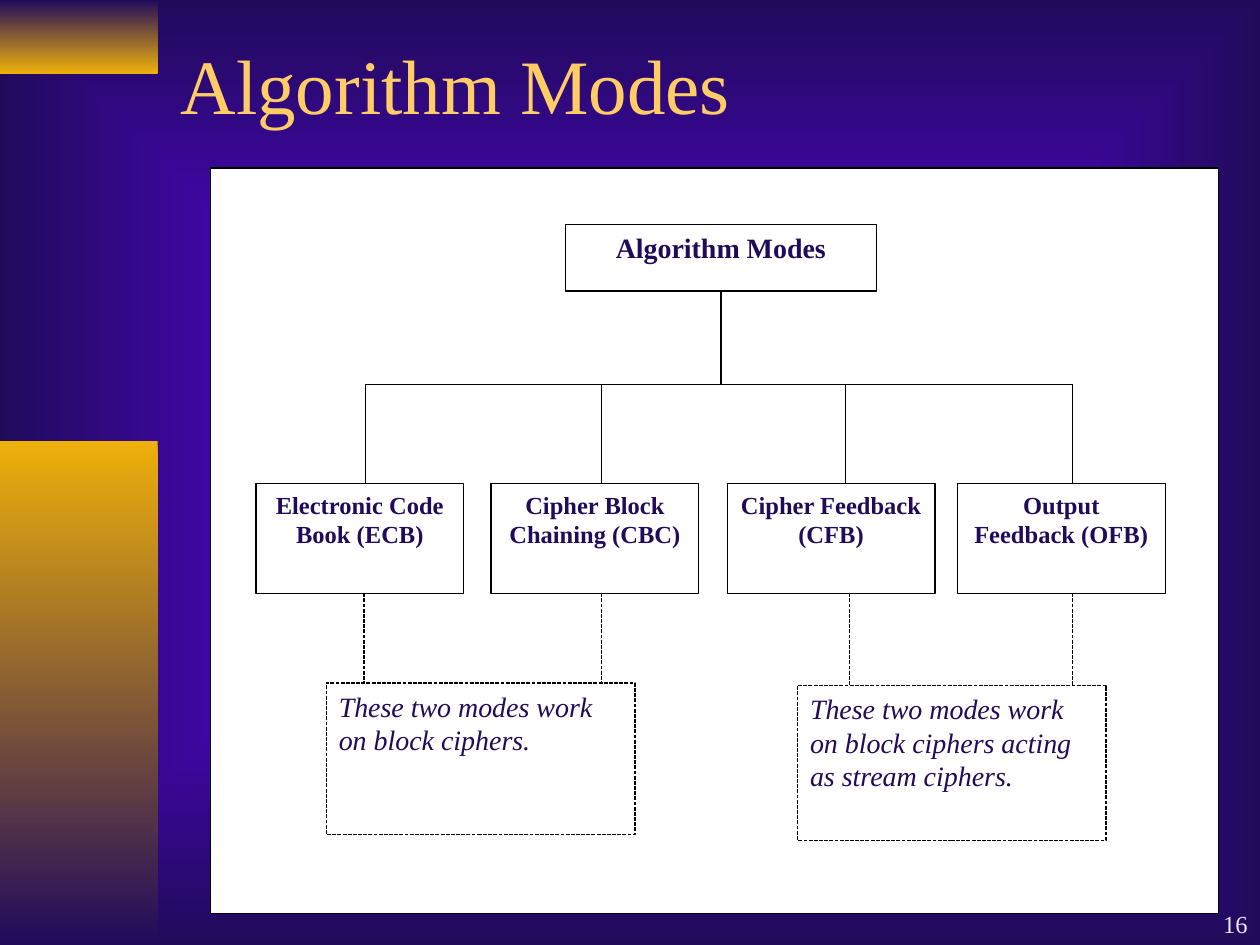
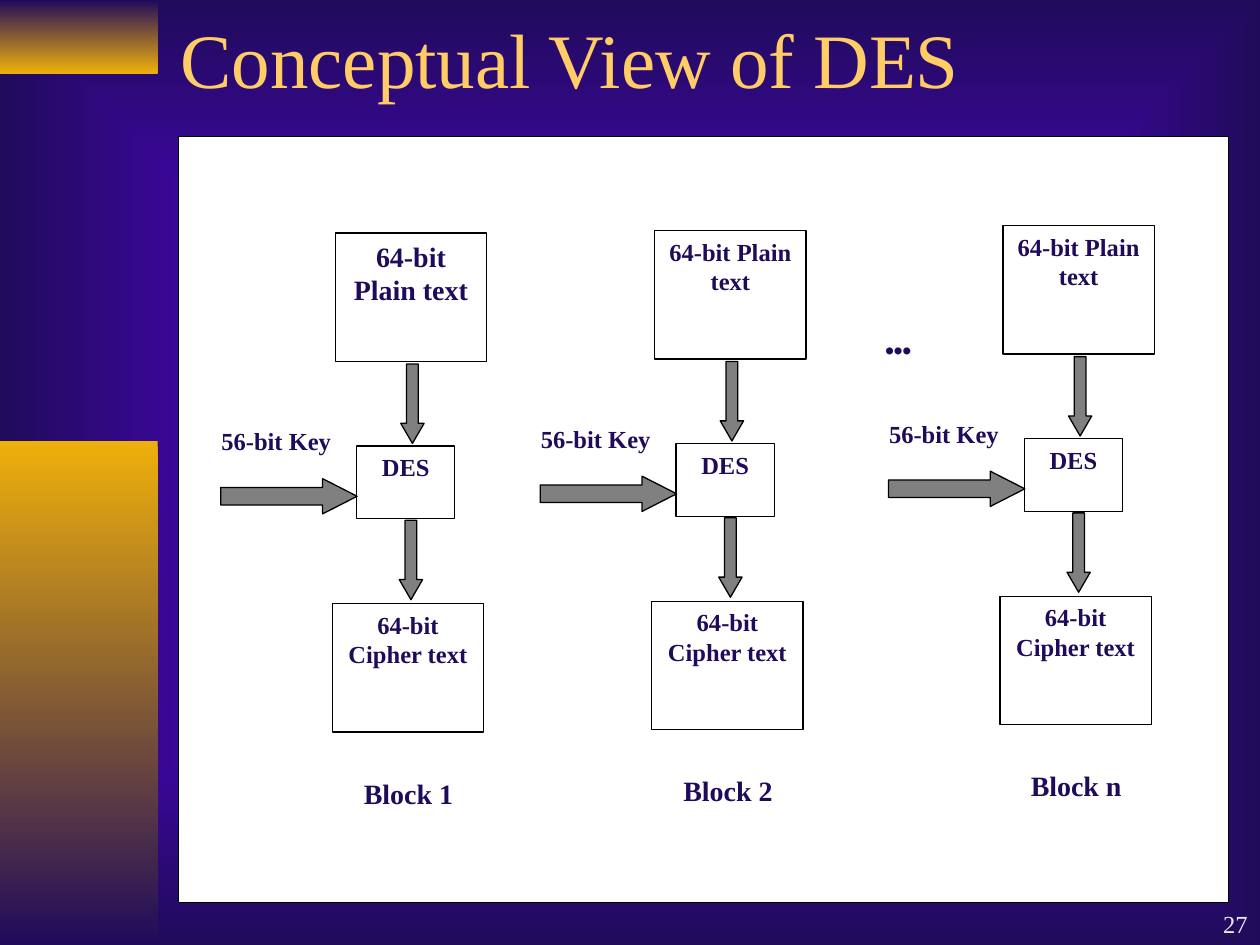
from lxml import etree
from pptx import Presentation
from pptx.dml.color import RGBColor as Rgb
from pptx.enum.dml import MSO_LINE as Dash
from pptx.enum.shapes import MSO_CONNECTOR as Link, MSO_SHAPE as Form
from pptx.enum.text import MSO_ANCHOR as Anchor, PP_ALIGN as Align
from pptx.oxml.ns import qn
from pptx.util import Cm, Pt

# Content: places and sizes in cm
HUES = {"glow": "6600FF", "night": "200B5B", "gold": "EEB00B",
        "title": "FFCC66", "page": "EAEAEA", "paper": "FFFFFF",
        "ink": "000000", "arrow": "808080"}
SERIF = "Times New Roman"
BANDS = [((0, 0, 3.18, 1.48), ("night", "gold")),
         ((0, 8.89, 3.18, 10.16), ("gold", "night"))]
PAGE = (20.12, 17.78, 5.28, 1.27)

TREE = {"title": "Algorithm Modes", "page": "16",
        "head": (3.39, 0.85, 21.59, 1.69),
        "panel": (4.24, 3.39, 20.32, 15.03)}
ROOT = ("Algorithm Modes", (11.4, 4.52, 6.27, 1.35))
BUS = 7.75
MODE_TOP, MODE_W, MODE_H = 9.75, 4.19, 2.21
# Text, left edge, x of the line above, x of the line below
MODES = [("Electronic Code Book (ECB)", 5.16, 7.37, 7.34),
         ("Cipher Block Chaining (CBC)", 9.9, 12.12, 12.12),
         ("Cipher Feedback (CFB)", 14.66, 17.04, 17.12),
         ("Output Feedback (OFB)", 19.3, 21.62, 21.62)]
NOTES = [("These two modes work on block ciphers.",
          (6.58, 13.77, 6.22, 3.05)),
         ("These two modes work on block ciphers acting as stream ciphers.",
          (16.08, 13.82, 6.22, 3.12))]

VIEW = {"title": "Conceptual View of DES", "page": "27",
        "head": (3.39, 0, 21.59, 2.33),
        "panel": (3.6, 2.75, 21.17, 15.45)}
# Label, corner of the plain text box, size of its text
LANES = [("Block 1", 6.76, 4.7, 16),
         ("Block 2", 13.2, 4.65, 14),
         ("Block n", 20.22, 4.55, 14)]
# Parts of a lane, measured from the corner of its plain text box
PLAIN = ("64-bit Plain text", (0, 0, 3.05, 2.59))
KEY = ("56-bit Key", (-2.74, 3.77, 3.1, 1.47))
STEPS = [("DES", (0.43, 4.29, 1.98, 1.47)),
         ("64-bit Cipher text", (-0.06, 7.47, 3.05, 2.59))]
ARROWS = [(Form.DOWN_ARROW, (1.32, 2.64, 0.47, 1.6), 0.86),
          (Form.DOWN_ARROW, (1.29, 5.79, 0.47, 1.6), 0.86),
          (Form.RIGHT_ARROW, (-2.31, 4.95, 2.75, 0.71), 0.98)]
LABEL = (-0.06, 10.82, 3.07, 1.65)
DOTS = ("•••", (16.79, 6.63, 2.64, 1.5))

# Text formats
BOLD = {"name": SERIF, "size": Pt(14), "bold": True}
LARGE = {**BOLD, "size": Pt(16)}
NOTE = {"name": SERIF, "size": Pt(16), "italic": True}
HEAD = {"name": SERIF, "size": Pt(44)}
FOOT = {"name": SERIF, "size": Pt(14)}


def hue(name):
    return Rgb.from_string(HUES[name])


def cms(rect):
    return [Cm(n) for n in rect]


def shift(rect, x, y):
    left, top, wide, high = rect
    return left + x, top + y, wide, high


# Drawing tools
def blend(fill, names):
    fill.gradient()
    for stop, name in zip(fill.gradient_stops, names):
        stop.color.rgb = hue(name)


def write(shape, text, font, color="night", align=Align.CENTER,
          anchor=Anchor.TOP):
    frame = shape.text_frame
    frame.word_wrap = True
    frame.vertical_anchor = anchor
    para = frame.paragraphs[0]
    para.alignment = align
    run = para.add_run()
    run.text = text
    for key, value in font.items():
        setattr(run.font, key, value)
    run.font.color.rgb = hue(color)


def trace(line, dash=None):
    line.color.rgb = hue("ink")
    line.width = Pt(0.75)
    if dash:
        line.dash_style = dash


def draw(slide, rect, form=Form.RECTANGLE, fill="paper", edge=True, dash=None):
    shape = slide.shapes.add_shape(form, *cms(rect))
    shape.shadow.inherit = False
    shape.fill.solid()
    shape.fill.fore_color.rgb = hue(fill)
    if edge:
        trace(shape.line, dash)
    else:
        shape.line.fill.background()
    return shape


def box(slide, text, rect, font=BOLD, align=Align.CENTER, **look):
    shape = draw(slide, rect, **look)
    write(shape, text, font, align=align)
    return shape


def wire(slide, x1, y1, x2, y2, dash=None):
    line = slide.shapes.add_connector(Link.STRAIGHT, *cms((x1, y1, x2, y2)))
    etree.SubElement(line.element.spPr, qn("a:effectLst"))
    trace(line.line, dash)
    return line


# Shared parts
def set_back(master):
    blend(master.background.fill, ("glow", "night"))
    old = next(master.element.iter(qn("a:lin")))
    ray = etree.Element(qn("a:path"), {"path": "rect"})
    etree.SubElement(ray, qn("a:fillToRect"), dict.fromkeys("ltrb", "50000"))
    old.getparent().replace(old, ray)


def start(deck, plan):
    slide = deck.slides.add_slide(deck.slide_layouts[6])
    for rect, names in BANDS:
        band = draw(slide, rect, edge=False)
        blend(band.fill, names)
        band.fill.gradient_angle = 270
    head = slide.shapes.add_textbox(*cms(plan["head"]))
    write(head, plan["title"], HEAD, "title", Align.LEFT, Anchor.MIDDLE)
    draw(slide, plan["panel"])
    foot = slide.shapes.add_textbox(*cms(PAGE))
    write(foot, plan["page"], FOOT, "page", Align.RIGHT, Anchor.BOTTOM)
    return slide


# Slide with the tree of modes
def add_tree(deck):
    slide = start(deck, TREE)
    text, rect = ROOT
    left, top, wide, high = rect
    root = box(slide, text, rect, LARGE)
    mid = left + wide / 2
    trunk = wire(slide, mid, top + high, mid, BUS)
    trunk.begin_connect(root, 2)
    wire(slide, MODES[0][2], BUS, MODES[-1][2], BUS)
    for i, (text, left, drop, tie) in enumerate(MODES):
        box(slide, text, (left, MODE_TOP, MODE_W, MODE_H))
        wire(slide, drop, BUS, drop, MODE_TOP)
        note_top = NOTES[i // 2][1][1]
        wire(slide, tie, MODE_TOP + MODE_H, tie, note_top, Dash.SQUARE_DOT)
    for text, rect in NOTES:
        box(slide, text, rect, NOTE, Align.LEFT, dash=Dash.SQUARE_DOT)


# Slide with one lane for each block
def add_view(deck):
    slide = start(deck, VIEW)
    for label, x, y, size in LANES:
        text, rect = PLAIN
        box(slide, text, shift(rect, x, y), {**BOLD, "size": Pt(size)})
        text, rect = KEY
        box(slide, text, shift(rect, x, y), edge=False)
        for text, rect in STEPS:
            box(slide, text, shift(rect, x, y))
        for form, rect, tip in ARROWS:
            arrow = draw(slide, shift(rect, x, y), form, "arrow")
            arrow.adjustments[1] = tip
        box(slide, label, shift(LABEL, x, y), LARGE, edge=False)
    text, rect = DOTS
    box(slide, text, rect, {**BOLD, "name": "Arial"}, edge=False)


def main():
    deck = Presentation()
    deck.slide_width, deck.slide_height = Cm(25.4), Cm(19.05)
    set_back(deck.slide_master)
    add_tree(deck)
    add_view(deck)
    deck.save("out.pptx")


if __name__ == "__main__":
    main()
